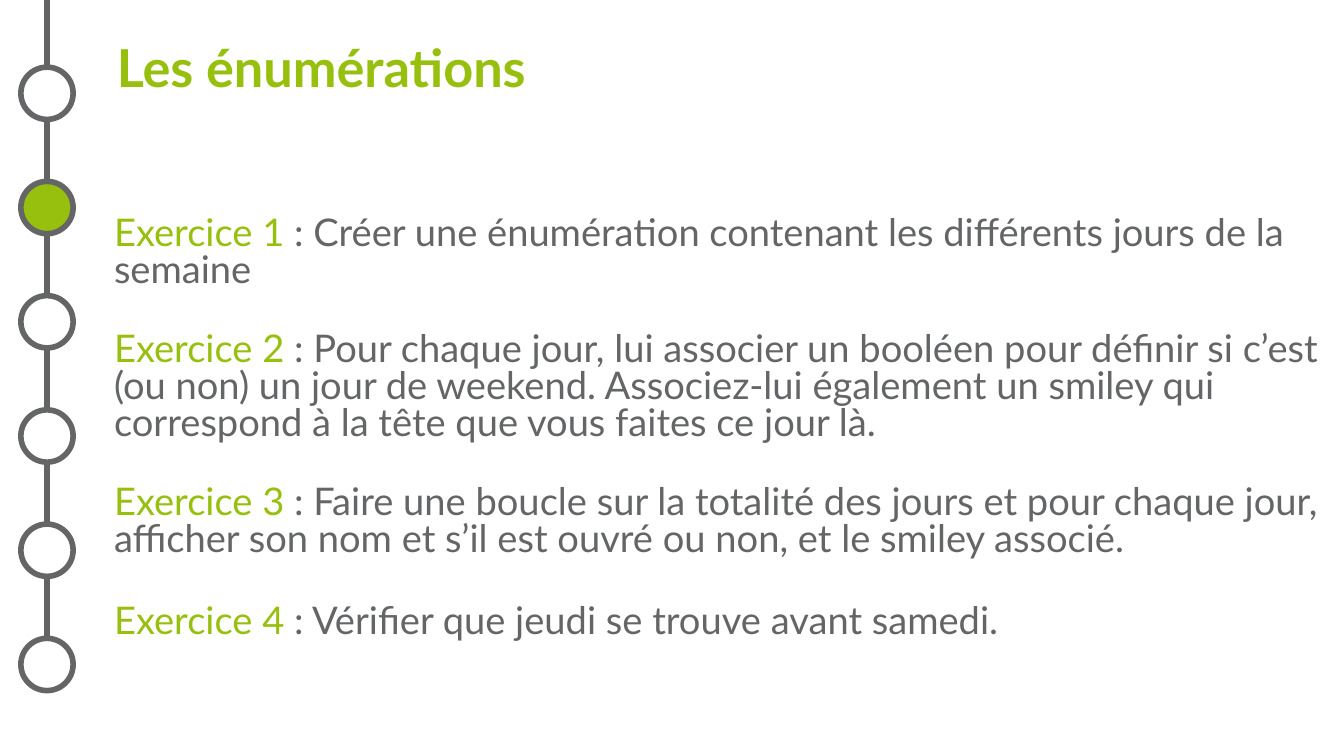
from lxml import etree
from pptx import Presentation
from pptx.dml.color import RGBColor
from pptx.enum.shapes import MSO_CONNECTOR as Connector, MSO_SHAPE as Shape
from pptx.enum.text import MSO_ANCHOR as Anchor
from pptx.oxml.ns import qn
from pptx.util import Pt

GREEN = RGBColor(0x97, 0xBF, 0x0D)
GREY = RGBColor(0x64, 0x65, 0x67)
LINE_GREY = RGBColor(0x62, 0x63, 0x65)
WHITE = RGBColor(0xFF, 0xFF, 0xFF)

FONT = "Lato"
TITLE_FORMAT = {"name": FONT, "size": Pt(28), "bold": True}
BODY_FORMAT = {"name": FONT, "size": Pt(20.4)}

AXIS_X = 25.2
CIRCLE_SIZE = 28
CIRCLE_TOP = 36
CIRCLE_STEP = 61.2
CIRCLE_COUNT = 6
ACTIVE_CIRCLE = 1

# Space before each paragraph, and its wording
EXERCISES = [
    (0, "Créer une énumération contenant les différents jours de la semaine"),
    (23, "Pour chaque jour, lui associer un booléen pour définir si c’est (ou non) "
         "un jour de weekend. Associez-lui également un smiley qui correspond à la "
         "tête que vous faites ce jour là."),
    (23, "Faire une boucle sur la totalité des jours et pour chaque jour, afficher "
         "son nom et s’il est ouvré ou non, et le smiley associé."),
    (24.7, "Vérifier que jeudi se trouve avant samedi."),
]


def set_attributes(target, values):
    for name, value in values.items():
        setattr(target, name, value)


def add_run(paragraph, text, color, font_format):
    run = paragraph.add_run()
    run.text = text
    set_attributes(run.font, font_format)
    run.font.color.rgb = color


def add_text_frame(slide, left, top, width, height, frame_format):
    box = slide.shapes.add_textbox(Pt(left), Pt(top), Pt(width), Pt(height))
    set_attributes(box.text_frame, {"word_wrap": True, **frame_format})
    return box.text_frame


def add_title(slide, text):
    margins = dict.fromkeys(
        ("margin_left", "margin_top", "margin_right", "margin_bottom"), 0)
    frame = add_text_frame(slide, 62.6, 14.4, 630.7, 42.5,
                           {"vertical_anchor": Anchor.MIDDLE, **margins})
    add_run(frame.paragraphs[0], text, GREEN, TITLE_FORMAT)


def add_exercises(slide):
    frame = add_text_frame(slide, 54, 64.1, 663.1, 325.4, {"margin_top": Pt(52.5)})
    for number, (space, text) in enumerate(EXERCISES, start=1):
        paragraph = frame.paragraphs[0] if number == 1 else frame.add_paragraph()
        set_attributes(paragraph, {"line_spacing": 0.8, "space_before": Pt(space)})
        add_run(paragraph, f"Exercice {number} ", GREEN, BODY_FORMAT)
        add_run(paragraph, f": {text}", GREY, BODY_FORMAT)


def add_axis(slide):
    axis = slide.shapes.add_connector(
        Connector.STRAIGHT, Pt(AXIS_X), Pt(0), Pt(AXIS_X), Pt(361.4))
    axis.line.color.rgb = LINE_GREY
    axis.line.width = Pt(3)
    etree.SubElement(axis.element.spPr, qn("a:effectLst"))


def add_circle(slide, top, fill):
    circle = slide.shapes.add_shape(
        Shape.OVAL, Pt(AXIS_X - CIRCLE_SIZE / 2), Pt(top),
        Pt(CIRCLE_SIZE), Pt(CIRCLE_SIZE))
    circle.shadow.inherit = False
    circle.fill.solid()
    circle.fill.fore_color.rgb = fill
    circle.line.color.rgb = GREY
    circle.line.width = Pt(3)


def add_progress(slide):
    add_axis(slide)
    for index in range(CIRCLE_COUNT):
        fill = GREEN if index == ACTIVE_CIRCLE else WHITE
        add_circle(slide, CIRCLE_TOP + index * CIRCLE_STEP, fill)


def main():
    presentation = Presentation()
    set_attributes(presentation, {"slide_width": Pt(720), "slide_height": Pt(405)})
    slide = presentation.slides.add_slide(presentation.slide_layouts[6])
    add_exercises(slide)
    add_title(slide, "Les énumérations")
    add_progress(slide)
    presentation.save("out.pptx")


if __name__ == "__main__":
    main()
